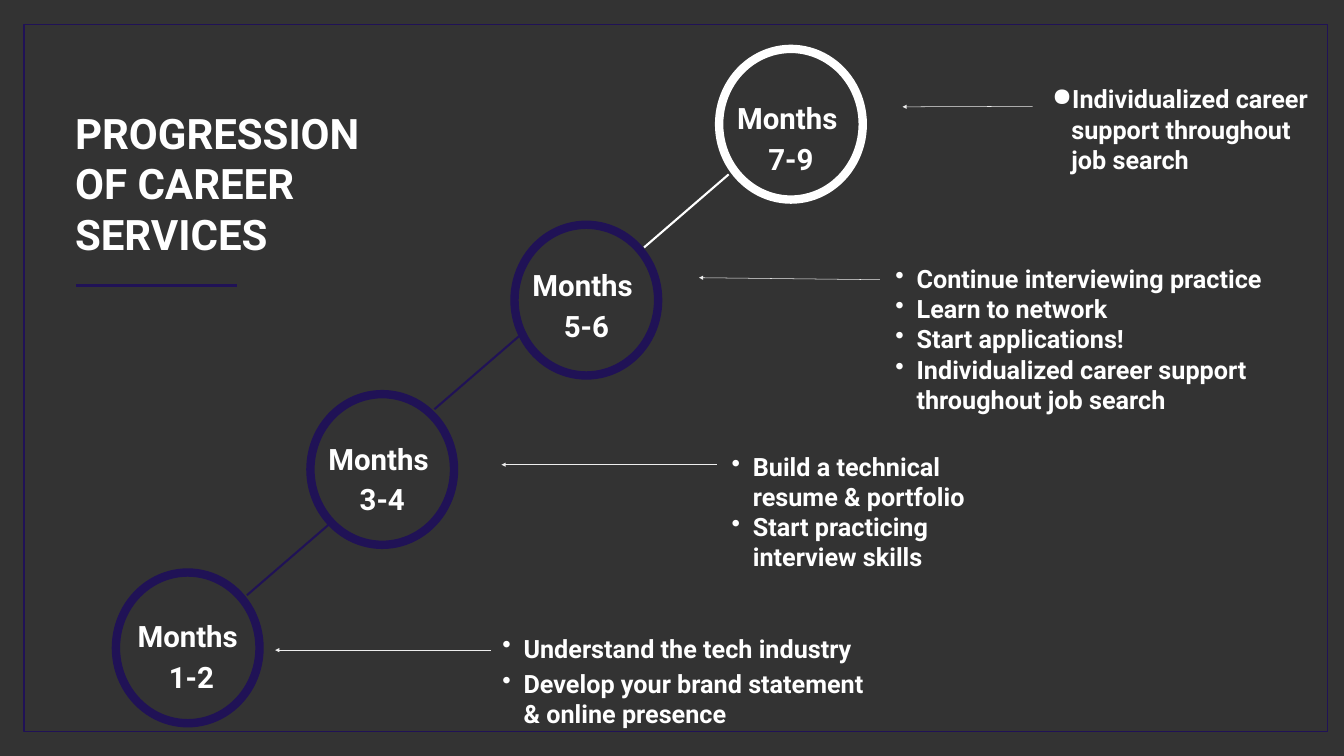
import pptx
import pptx.util
import pptx.dml.color
import pptx.enum.shapes
import pptx.enum.text
import pptx.oxml.ns
from lxml import etree

Inches, Pt = pptx.util.Inches, pptx.util.Pt
RGBColor = pptx.dml.color.RGBColor
MSO_SHAPE = pptx.enum.shapes.MSO_SHAPE
ANCHOR = pptx.enum.text.MSO_ANCHOR
ALIGN = pptx.enum.text.PP_ALIGN
qn = pptx.oxml.ns.qn

CHARCOAL = RGBColor(0x33, 0x33, 0x33)
INDIGO = RGBColor(0x20, 0x12, 0x56)
WHITE = RGBColor(0xFF, 0xFF, 0xFF)
PALE = RGBColor(0xEE, 0xEE, 0xEE)
FONT = "Roboto"
RING_W, RING_H = 2.85, 2.99
LABEL_W, LABEL_H = 5.34, 1.6
LINK_DX, LINK_DY = 1.68, -1.45

STAGES = [
    {"ring": (2.3, 11.36), "color": INDIGO, "label": ("Months", " 1-2"), "label_dy": 1.08,
     "link": (4.9, 11.81, INDIGO), "arrow": (9.74, 12.9, 5.46, 12.9),
     "notes": (9.91, 12.33, 7.67, 2.35), "gap": 7,
     "items": ["Understand the tech industry",
               "Develop your brand statement & online presence"]},
    {"ring": (6.16, 7.82), "color": INDIGO, "label": ("Months ", "3-4"), "label_dy": 1.1,
     "link": (8.62, 8.12, INDIGO), "arrow": (14.23, 9.22, 9.95, 9.22),
     "notes": (14.46, 8.7, 5, 2.9),
     "items": ["Build a technical resume & portfolio",
               "Start practicing interview skills"]},
    {"ring": (10.21, 4.46), "color": INDIGO, "label": ("Months ", "5-6"), "label_dy": 1.02,
     "link": (12.78, 4.91, WHITE), "arrow": (17.46, 5.55, 13.87, 5.51),
     "notes": (17.71, 4.81, 7.85, 3.83),
     "items": ["Continue interviewing practice", "Learn to network", "Start applications!",
               "Individualized career support throughout job search"]},
    {"ring": (14.27, 0.97), "color": WHITE, "label": ("Months ", "7-9"), "label_dy": 1.2,
     "arrow": (20.49, 2.11, 17.91, 2.12),
     "notes": (20.49, 1.39, 5.86, 2.65), "anchor": ANCHOR.TOP, "inset": 0.27,
     "bullet": ("●", 0.5, -0.38),
     "items": ["Individualized career support throughout job search"]},
]


def add_line(slide, x1, y1, x2, y2, color, width, arrow=False):
    """Draw a straight line, with an arrowhead at its end if asked."""
    line = slide.shapes.add_connector(
        pptx.enum.shapes.MSO_CONNECTOR.STRAIGHT, Inches(x1), Inches(y1), Inches(x2), Inches(y2))
    line.line.color.rgb = color
    line.line.width = Pt(width)
    if arrow:
        etree.SubElement(line.line._get_or_add_ln(), qn("a:tailEnd"), type="triangle")
    etree.SubElement(line._element.spPr, qn("a:effectLst"))


def add_outline(slide, shape, box, color, width):
    """Draw an unfilled preset shape in the box."""
    sp = slide.shapes.add_shape(shape, *map(Inches, box))
    sp.shadow.inherit = False
    sp.fill.background()
    sp.line.color.rgb = color
    sp.line.width = Pt(width)


def set_frame(tf, inset, anchor):
    """Give a text frame wrapping, equal insets and an anchor."""
    tf.word_wrap = True
    tf.auto_size = pptx.enum.text.MSO_AUTO_SIZE.NONE
    tf.vertical_anchor = anchor
    tf.margin_left = tf.margin_right = tf.margin_top = tf.margin_bottom = Inches(inset)


def add_run(p, text, size):
    """Add a bold white run to a paragraph."""
    r = p.add_run()
    r.text = text
    r.font.name = FONT
    r.font.size = Pt(size)
    r.font.bold = True
    r.font.color.rgb = WHITE


def add_paragraphs(tf, texts):
    """Yield a paragraph of the frame for each text."""
    for i, text in enumerate(texts):
        yield i, (tf.add_paragraph() if i else tf.paragraphs[0]), text


def set_bullet(p, char, margin, indent):
    """Give a paragraph a white bullet and a hanging indent."""
    pPr = p._p.get_or_add_pPr()
    pPr.set("marL", str(Inches(margin)))
    pPr.set("indent", str(Inches(indent)))
    color = etree.SubElement(pPr, qn("a:buClr"))
    etree.SubElement(color, qn("a:srgbClr"), val=str(WHITE))
    etree.SubElement(pPr, qn("a:buChar"), char=char)


def add_title(slide, x, y, w, h):
    """Place the title and the rule below it."""
    sp = slide.shapes.title
    sp.left, sp.top, sp.width, sp.height = map(Inches, (x, y, w, h))
    set_frame(sp.text_frame, 0.08, ANCHOR.MIDDLE)
    p = sp.text_frame.paragraphs[0]
    p.alignment = ALIGN.LEFT
    add_run(p, "PROGRESSION OF CAREER SERVICES", 60)
    add_line(slide, x + 0.1, y + 4.39, x + 3.29, y + 4.39, INDIGO, 4)


def add_milestone(slide, x, y, color, label, label_dy):
    """Draw a ring with its two-line label."""
    add_outline(slide, MSO_SHAPE.OVAL, (x, y, RING_W, RING_H), color, 12)
    left = x + (RING_W - LABEL_W) / 2
    tf = slide.shapes.add_textbox(
        *map(Inches, (left, y + label_dy, LABEL_W, LABEL_H))).text_frame
    set_frame(tf, 0.27, ANCHOR.BOTTOM)
    for _, p, text in add_paragraphs(tf, label):
        p.alignment = ALIGN.CENTER
        p.line_spacing = 1.15
        add_run(p, text, 42)


def add_notes_list(slide, box, items, bullet, inset, anchor, gap):
    """Write the bulleted activities of a stage in the box."""
    tf = slide.shapes.add_textbox(*map(Inches, box)).text_frame
    set_frame(tf, inset, anchor)
    for i, p, text in add_paragraphs(tf, items):
        set_bullet(p, *bullet)
        if i and gap:
            p.space_before = Pt(gap)
        add_run(p, text, 36)


def add_stage(slide, stage):
    """Draw one stage: ring, link to the next, arrow and activities."""
    add_milestone(slide, *stage["ring"], stage["color"], stage["label"], stage["label_dy"])
    if "link" in stage:
        x, y, color = stage["link"]
        add_line(slide, x, y, x + LINK_DX, y + LINK_DY, color, 3)
    add_line(slide, *stage["arrow"], PALE, 0.75, arrow=True)
    add_notes_list(slide, stage["notes"], stage["items"],
                   stage.get("bullet", ("•", 0.42, -0.44)), stage.get("inset", 0.06),
                   stage.get("anchor", ANCHOR.MIDDLE), stage.get("gap", 0))


def main():
    """Build and save the slide."""
    prs = pptx.Presentation()
    prs.slide_width, prs.slide_height = Inches(26.67), Inches(15)
    slide = prs.slides.add_slide(prs.slide_layouts[5])
    slide.background.fill.solid()
    slide.background.fill.fore_color.rgb = CHARCOAL
    add_title(slide, 1.41, 1.27, 6.61, 4.72)
    for stage in STAGES:
        add_stage(slide, stage)
    add_outline(slide, MSO_SHAPE.RECTANGLE, (0.48, 0.49, 25.86, 14.02), INDIGO, 2)
    prs.save("out.pptx")


if __name__ == "__main__":
    main()
